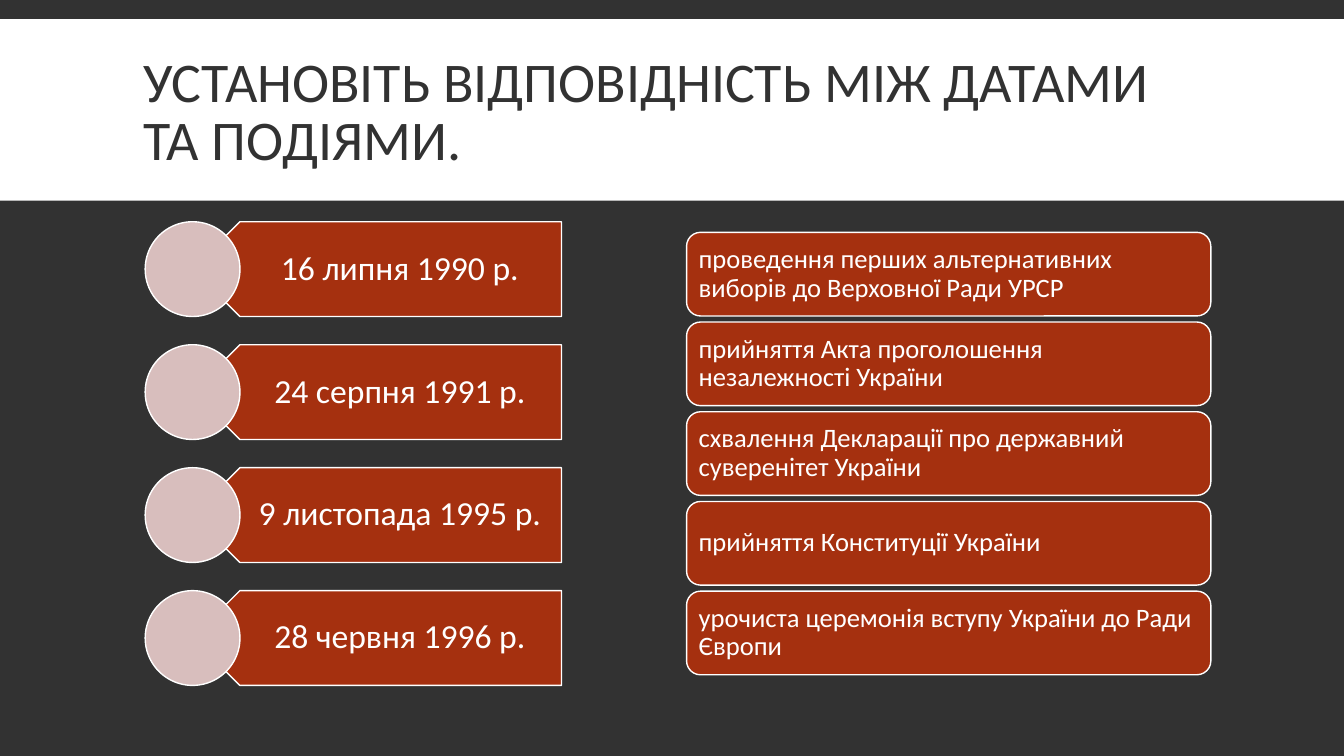
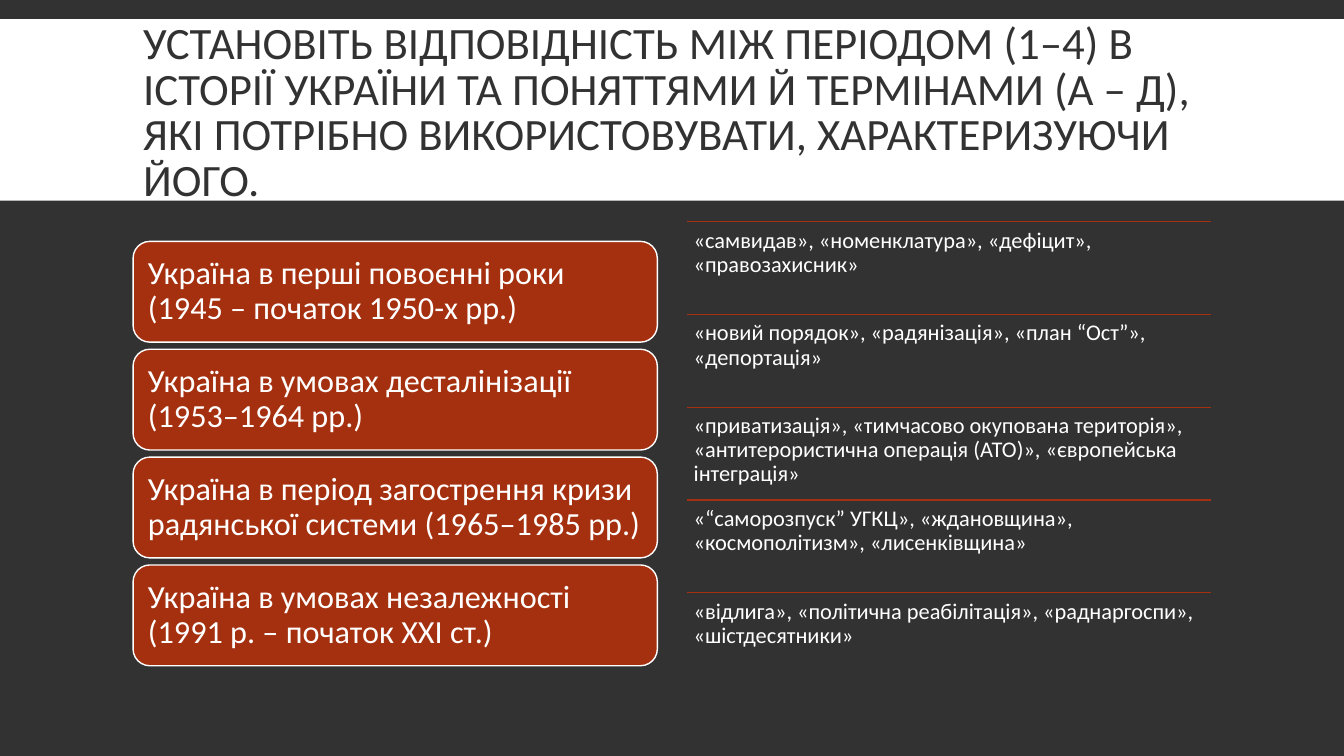
from pptx import Presentation
from pptx.dml.color import RGBColor
from pptx.enum.shapes import MSO_CONNECTOR, MSO_SHAPE
from pptx.enum.text import MSO_ANCHOR, MSO_AUTO_SIZE, PP_ALIGN
from pptx.oxml.ns import qn
from pptx.util import Inches, Pt
from lxml import etree

DARK = RGBColor(0x32, 0x32, 0x32)
WHITE = RGBColor(0xFF, 0xFF, 0xFF)
RUST = RGBColor(0xA5, 0x30, 0x0F)
PINK = RGBColor(0xD8, 0xBE, 0xBD)
FONT = "Calibri"

# Two equal columns below the title band; every stack is centred in its column.
COLUMN_WIDTH = 5.2
LEFT_COLUMN = 1.32
RIGHT_COLUMN = 6.81
CONTENT_TOP = 2.2
CONTENT_HEIGHT = 4.6

TITLES = [
    ("УСТАНОВІТЬ ВІДПОВІДНІСТЬ МІЖ ДАТАМИ ТА ПОДІЯМИ.", 40),
    ("УСТАНОВІТЬ ВІДПОВІДНІСТЬ МІЖ ПЕРІОДОМ (1–4) В ІСТОРІЇ УКРАЇНИ ТА "
     "ПОНЯТТЯМИ Й ТЕРМІНАМИ (А – Д), ЯКІ ПОТРІБНО ВИКОРИСТОВУВАТИ, "
     "ХАРАКТЕРИЗУЮЧИ ЙОГО.", 32),
]
DATES = ["16 липня 1990 р.", "24 серпня 1991 р.",
         "9 листопада 1995 р.", "28 червня 1996 р."]
EVENTS = [
    "проведення перших альтернативних виборів до Верховної Ради УРСР",
    "прийняття Акта проголошення незалежності України",
    "схвалення Декларації про державний суверенітет України",
    "прийняття Конституції України",
    "урочиста церемонія вступу України до Ради Європи",
]
PERIODS = [
    "Україна в перші повоєнні роки (1945 – початок 1950-х рр.)",
    "Україна в умовах десталінізації (1953–1964 рр.)",
    "Україна в період загострення кризи радянської системи (1965–1985 рр.)",
    "Україна в умовах незалежності (1991 р. – початок ХХІ ст.)",
]
TERMS = [
    "«самвидав», «номенклатура», «дефіцит», «правозахисник»",
    "«новий порядок», «радянізація», «план “Ост”», «депортація»",
    "«приватизація», «тимчасово окупована територія», "
    "«антитерористична операція (АТО)», «європейська інтеграція»",
    "«“саморозпуск” УГКЦ», «ждановщина», «космополітизм», «лисенківщина»",
    "«відлига», «політична реабілітація», «раднаргоспи», «шістдесятники»",
]


def write(shape, text, size, color=WHITE, margins=(0.1, 0.1, 0.1, 0.1),
          anchor=MSO_ANCHOR.MIDDLE, align=PP_ALIGN.LEFT, spacing=0.9):
    """Fill a shape with one paragraph; margins are left, top, right, bottom."""
    frame = shape.text_frame
    frame.word_wrap = True
    frame.auto_size = MSO_AUTO_SIZE.NONE
    frame.vertical_anchor = anchor
    (frame.margin_left, frame.margin_top,
     frame.margin_right, frame.margin_bottom) = map(Inches, margins)
    paragraph = frame.paragraphs[0]
    paragraph.alignment = align
    paragraph.line_spacing = spacing
    run = paragraph.add_run()
    run.text = text
    run.font.name = FONT
    run.font.size = Pt(size)
    run.font.color.rgb = color


def add_stack(slide, kind, count, left, width, height, gap, fill=RUST):
    """Add equal white-edged shapes, centred vertically in the content area."""
    total = count * height + (count - 1) * gap
    top = CONTENT_TOP + (CONTENT_HEIGHT - total) / 2
    stack = []
    for row in range(count):
        shape = slide.shapes.add_shape(
            kind, Inches(left), Inches(top + row * (height + gap)),
            Inches(width), Inches(height))
        shape.shadow.inherit = False
        shape.fill.solid()
        shape.fill.fore_color.rgb = fill
        shape.line.color.rgb = WHITE
        shape.line.width = Pt(1)
        stack.append(shape)
    return stack


presentation = Presentation()
presentation.slide_width = Inches(13.33)
presentation.slide_height = Inches(7.5)

# Shared look: dark background, title place and white band
layout = presentation.slide_layouts.get_by_name("Title Only")
layout.background.fill.solid()
layout.background.fill.fore_color.rgb = DARK
layout_title = layout.placeholders[0]
layout_title.left, layout_title.top = Inches(LEFT_COLUMN), Inches(0.31)
layout_title.width, layout_title.height = Inches(10.7), Inches(1.65)

slides = []
for title, size in TITLES:
    slide = presentation.slides.add_slide(layout)
    write(slide.shapes.title, title, size, DARK,
          margins=(0.1, 0.05, 0.1, 0.05), spacing=0.85)
    slides.append(slide)
dates_slide, periods_slide = slides

band = dates_slide.shapes.add_shape(
    MSO_SHAPE.RECTANGLE, 0, Inches(0.19), presentation.slide_width, Inches(1.8))
band.shadow.inherit = False
band.fill.solid()
band.fill.fore_color.rgb = WHITE
band.line.fill.background()
layout_title.element.addprevious(band.element)

# Dates and events
circle_size = 0.94
circle_left = LEFT_COLUMN + 0.12
date_gap = (CONTENT_HEIGHT - len(DATES) * circle_size) / (len(DATES) - 1)
arrows = add_stack(dates_slide, MSO_SHAPE.PENTAGON, len(DATES),
                   circle_left + circle_size / 2, 3.66, circle_size, date_gap)
for arrow, date in zip(arrows, DATES):
    arrow.element.spPr.find(qn("a:xfrm")).set("flipH", "1")
    write(arrow, date, 24, margins=(0.41, 0.1, 0.19, 0.1), align=PP_ALIGN.CENTER)
add_stack(dates_slide, MSO_SHAPE.OVAL, len(DATES), circle_left,
          circle_size, circle_size, date_gap, PINK)

event_boxes = add_stack(dates_slide, MSO_SHAPE.ROUNDED_RECTANGLE, len(EVENTS),
                        RIGHT_COLUMN, COLUMN_WIDTH, 0.83, 0.06)
for box, event in zip(event_boxes, EVENTS):
    write(box, event, 19, margins=(0.08,) * 4)

# Periods and terms
period_boxes = add_stack(periods_slide, MSO_SHAPE.ROUNDED_RECTANGLE, len(PERIODS),
                         LEFT_COLUMN, COLUMN_WIDTH, 1, 0.07)
for box, period in zip(period_boxes, PERIODS):
    write(box, period, 23)

term_height = CONTENT_HEIGHT / len(TERMS)
for row, terms in enumerate(TERMS):
    left, top = Inches(RIGHT_COLUMN), Inches(CONTENT_TOP + row * term_height)
    width = Inches(COLUMN_WIDTH)
    rule = periods_slide.shapes.add_connector(
        MSO_CONNECTOR.STRAIGHT, left, top, left + width, top)
    rule.line.color.rgb = RUST
    rule.line.width = Pt(1)
    etree.SubElement(rule.element.spPr, qn("a:effectLst"))
    term_box = periods_slide.shapes.add_textbox(left, top, width, Inches(term_height))
    write(term_box, terms, 16, margins=(0.07,) * 4, anchor=MSO_ANCHOR.TOP)

presentation.save("out.pptx")
